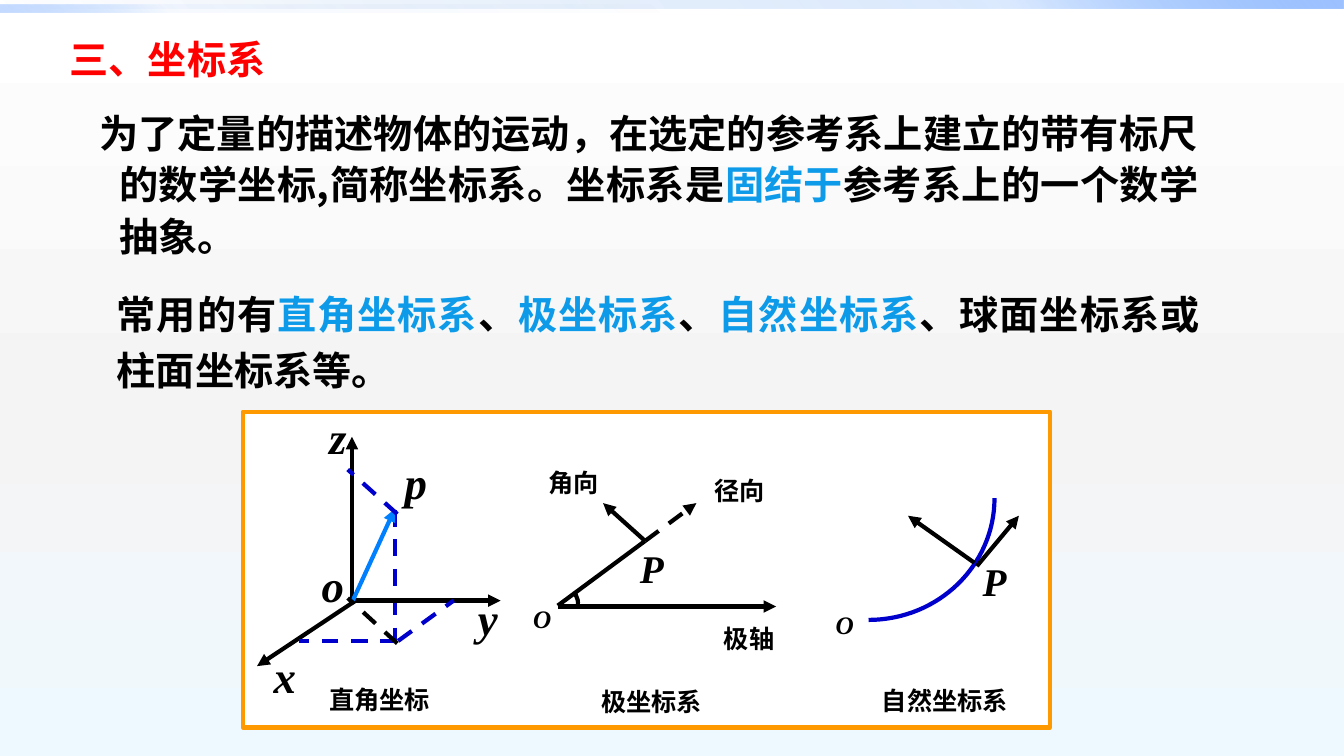
import dataclasses
import lxml.etree
import pptx
import pptx.dml.color
import pptx.enum.dml
import pptx.enum.shapes
import pptx.enum.text
import pptx.util
from pptx.oxml.ns import qn


@dataclasses.dataclass(frozen=True)
class Theme:
    ink: str = "000000"
    heading: str = "FF0000"
    accent: str = "0D9BE9"
    guide: str = "0000CC"
    vector: str = "0080FF"
    frame: str = "FF9900"
    paper: str = "FFFFFF"
    body_size: int = 28
    axis_size: int = 32
    caption_size: int = 18
    stroke: int = 3
    hanzi: str = "Noto Sans CJK SC"
    latin: str = "Times New Roman"


theme = Theme()
rgb = pptx.dml.color.RGBColor.from_string


def add_run(paragraph, text, size, color, face, italic=False):
    run = paragraph.add_run()
    run.text = text
    run.font.size = pptx.util.Pt(size)
    run.font.bold = True
    run.font.italic = italic
    run.font.color.rgb = rgb(color)
    run.font.name = face
    properties = run.font._element
    lxml.etree.SubElement(properties, qn("a:ea"), typeface=theme.hanzi)


def paint_gradient(fill, owner, angle, stops):
    fill.gradient()
    fill.gradient_angle = 360 - angle
    stop_list = owner.find(".//" + qn("a:gsLst"))
    for stop in list(stop_list):
        stop_list.remove(stop)
    for position, color, opacity in stops:
        stop = lxml.etree.SubElement(stop_list, qn("a:gs"), pos=str(position * 1000))
        tint = lxml.etree.SubElement(stop, qn("a:srgbClr"), val=color)
        lxml.etree.SubElement(tint, qn("a:alpha"), val=str(opacity * 1000))


deck = pptx.Presentation()
deck.slide_width = pptx.util.Inches(40 / 3)
deck.slide_height = pptx.util.Inches(7.5)
column = deck.slide_width / 160
row = deck.slide_height / 90
slide = deck.slides.add_slide(deck.slide_layouts[3])

paint_gradient(slide.background.fill, slide._element, 90,
               [(0, "FFFFFF", 100), (55, "F4F4F4", 100), (100, "EEF9FF", 100)])

for top, columns, angle, middle_opacity, end_opacity in [(0, 160, 315, 20, 100), (0.5, 80, 135, 5, 60)]:
    stripe = slide.shapes.add_shape(pptx.enum.shapes.MSO_SHAPE.RECTANGLE, 0, int(top * row),
                                    int(columns * column), int(row))
    stripe.shadow.inherit = False
    stripe.line.fill.background()
    paint_gradient(stripe.fill, stripe._element, angle,
                   [(0, "0058B7", 0), (75, "4F95FF", middle_opacity), (100, "9EC2FF", end_opacity)])

passages = [
    ((7.1, 3.6, 70.3, 6.8), 0, 0, 1, theme.hanzi, [("三、坐标系", theme.heading)]),
    ((8.4, 11.8, 135.5, 19.9), 4.6, -2.4, 1.1, theme.hanzi, [
        ("为了定量的描述物体的运动，在选定的参考系上建立的带有标尺的数学坐标,简称坐标系。坐标系是", theme.ink),
        ("固结于", theme.accent),
        ("参考系上的一个数学抽象。", theme.ink)]),
    ((12.7, 32.8, 131.3, 14.6), 0, 0, 1.2, theme.latin, [
        ("常用的有", theme.ink),
        ("直角坐标系", theme.accent),
        ("、", theme.ink),
        ("极坐标系", theme.accent),
        ("、", theme.ink),
        ("自然坐标系", theme.accent),
        ("、球面坐标系或柱面坐标系等。", theme.ink)]),
]
for holder, (area, margin, indent, spacing, face, runs) in zip(slide.placeholders, passages):
    left, top, columns, rows = area
    holder.left, holder.width = int(left * column), int(columns * column)
    holder.top, holder.height = int(top * row), int(rows * row)
    frame = holder.text_frame
    frame.word_wrap = True
    frame.auto_size = pptx.enum.text.MSO_AUTO_SIZE.NONE
    frame.vertical_anchor = pptx.enum.text.MSO_ANCHOR.TOP
    paragraph = frame.paragraphs[0]
    layout = paragraph._p.get_or_add_pPr()
    layout.set("marL", str(int(margin * column)))
    layout.set("indent", str(int(indent * column)))
    lxml.etree.SubElement(layout, qn("a:buNone"))
    is_title = holder.placeholder_format.idx == 0
    alignment = pptx.enum.text.PP_ALIGN
    paragraph.alignment = alignment.LEFT if is_title else alignment.JUSTIFY
    paragraph.line_spacing = spacing
    paragraph.space_before = pptx.util.Pt(0)
    for text, color in runs:
        add_run(paragraph, text, theme.body_size, color, face)

panel = slide.shapes.add_shape(pptx.enum.shapes.MSO_SHAPE.RECTANGLE, int(28.9 * column), int(49 * row),
                               int(96.1 * column), int(37.6 * row))
panel.shadow.inherit = False
panel.fill.solid()
panel.fill.fore_color.rgb = rgb(theme.paper)
panel.line.color.rgb = rgb(theme.frame)
panel.line.width = pptx.util.Pt(theme.stroke)

segments = [
    (47, 60.7, 47, 76.2, theme.guide, True, False),
    (41.6, 71.5, 59.6, 71.5, theme.ink, False, True),
    (41.9, 71.9, 41.9, 52, theme.ink, False, True),
    (42.5, 71.4, 30.6, 79.3, theme.ink, False, True),
    (42, 71.5, 47, 60.6, theme.vector, False, True),
    (47.3, 76.3, 35.6, 76.3, theme.guide, True, False),
    (47.4, 76.3, 54, 71.5, theme.guide, True, False),
    (47.3, 76.6, 41.4, 71.2, theme.ink, True, False),
    (47.3, 61.2, 41.4, 55.9, theme.guide, True, False),
    (66.4, 72.2, 92.4, 72.2, theme.ink, False, True),
    (66.4, 72.1, 76.8, 64.4, theme.ink, False, False),
    (76.8, 64.4, 82.9, 59.9, theme.ink, True, True),
    (76.8, 64.4, 71.8, 59.9, theme.ink, False, True),
    (116.3, 67.4, 121.3, 61.4, theme.ink, False, True),
    (116, 67, 108.1, 61.4, theme.ink, False, True),
]
curves = [
    ([(68.4, 70.4), (68.9, 71.8), (68.8, 71.2), (68.8, 72.4)], theme.ink),
    ([(103.4, 73.8), (111.7, 73.8), (118.4, 67.3), (118.4, 59.3)], theme.guide),
]
steps = 32
for controls, color in curves:
    points = []
    for step in range(steps + 1):
        t = step / steps
        weights = [(1 - t) ** 3, 3 * t * (1 - t) ** 2, 3 * t ** 2 * (1 - t), t ** 3]
        points.append((sum(w * x for w, (x, y) in zip(weights, controls)) * column,
                       sum(w * y for w, (x, y) in zip(weights, controls)) * row))
    builder = slide.shapes.build_freeform(*points[0])
    builder.add_line_segments(points[1:], close=False)
    arc = builder.convert_to_shape()
    arc.shadow.inherit = False
    arc.fill.background()
    arc.line.color.rgb = rgb(color)
    arc.line.width = pptx.util.Pt(theme.stroke)

for x1, y1, x2, y2, color, dashed, arrow in segments:
    segment = slide.shapes.add_connector(pptx.enum.shapes.MSO_CONNECTOR.STRAIGHT, int(x1 * column),
                                         int(y1 * row), int(x2 * column), int(y2 * row))
    segment.line.color.rgb = rgb(color)
    segment.line.width = pptx.util.Pt(theme.stroke)
    if dashed:
        segment.line.dash_style = pptx.enum.dml.MSO_LINE.DASH
    if arrow:
        lxml.etree.SubElement(segment.line._get_or_add_ln(), qn("a:tailEnd"), type="triangle")
    lxml.etree.SubElement(segment._element.spPr, qn("a:effectLst"))

labels = [
    ("x", 31.4, 76.6, 4.2, 7.3, theme.axis_size),
    ("y", 55.7, 69.7, 4, 7.3, theme.axis_size),
    ("z", 38, 48.2, 3.7, 7.3, theme.axis_size),
    ("o", 37.1, 65.8, 4.2, 7.3, theme.axis_size),
    ("p", 47, 53.5, 4.2, 7.3, theme.axis_size),
    ("P", 75, 64.2, 4.4, 5.3, theme.body_size),
    ("P", 115.8, 65.8, 4.4, 5.3, theme.body_size),
    ("O", 62.3, 71.2, 4.4, 4.6, theme.caption_size),
    ("O", 98.3, 72, 5, 4.6, theme.caption_size),
    ("直角坐标", 38, 80.9, 15.5, 5.6, theme.caption_size),
    ("极坐标系", 70.4, 81.1, 15.5, 4.6, theme.caption_size),
    ("自然坐标系", 103.8, 81, 18.8, 4.6, theme.caption_size),
    ("极轴", 85, 73.6, 8.8, 4.6, theme.caption_size),
    ("径向", 83.9, 56, 8.8, 4.6, theme.caption_size),
    ("角向", 64.1, 55.1, 8.8, 4.6, theme.caption_size),
]
for text, left, top, columns, rows, size in labels:
    label = slide.shapes.add_textbox(int(left * column), int(top * row), int(columns * column), int(rows * row))
    label.text_frame.word_wrap = False
    add_run(label.text_frame.paragraphs[0], text, size, theme.ink, theme.latin, italic=text.isascii())

deck.save("out.pptx")
